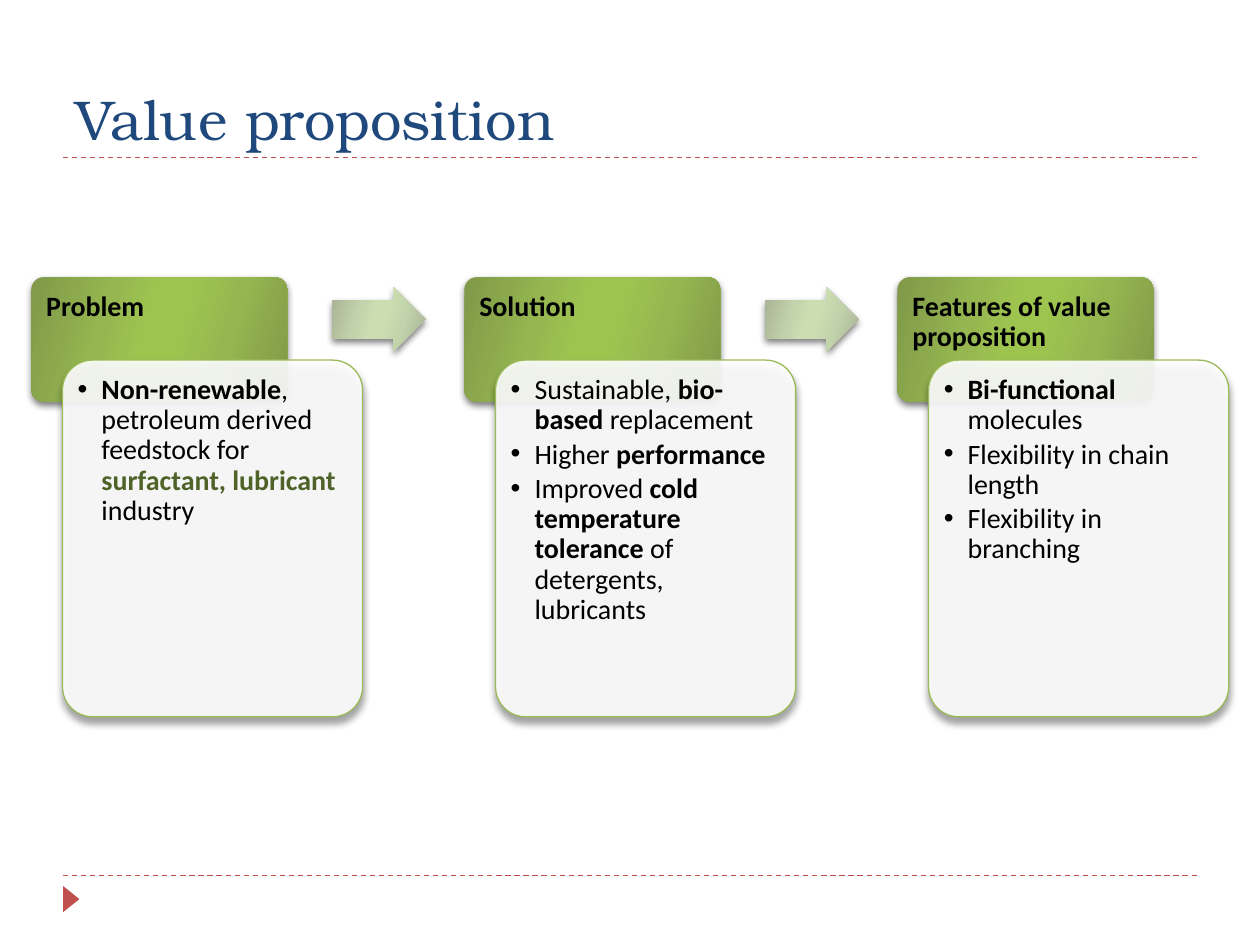
from dataclasses import dataclass

from lxml import etree
from pptx import Presentation
from pptx import util as u
from pptx.dml.color import RGBColor
from pptx.enum import dml, shapes, text
from pptx.oxml.ns import qn


@dataclass(frozen=True)
class Theme:
    title_font: str = "TeX Gyre Bonum"
    body_font: str = "Calibri"
    title_size: int = 32
    body_size: int = 16
    title: str = "1F497D"
    ink: str = "000000"
    emphasis: str = "4F6228"
    accent: str = "C0504D"
    border: str = "9BBB59"
    card: str = "FFFFFF"
    heading_stops: tuple = ("7F9949", "96B750", "9EC450")
    arrow_stops: tuple = ("A6B294", "C2D2AB", "CCDDB1")


T = Theme()
BOLD = {"bold": True}
GREEN = {"bold": True, "color": T.emphasis}
COLUMNS = [
    ("Problem", [
        [("Non-renewable", BOLD), (", petroleum derived feedstock for ", {}),
         ("surfactant, lubricant ", GREEN), ("industry", {})],
    ]),
    ("Solution", [
        [("Sustainable, ", {}), ("bio-based ", BOLD), ("replacement", {})],
        [("Higher ", {}), ("performance", BOLD)],
        [("Improved ", {}), ("cold temperature tolerance", BOLD),
         (" of detergents, lubricants", {})],
    ]),
    ("Features of value proposition", [
        [("Bi-functional ", BOLD), ("molecules", {})],
        [("Flexibility in chain length", {})],
        [("Flexibility in branching", {})],
    ]),
]
LEFT, PITCH = 0.63, 8.73


def rgb(value):
    return RGBColor.from_string(value)


def add_bullet(p, indent):
    pPr = p._p.get_or_add_pPr()
    pPr.set("marL", str(u.Cm(indent)))
    pPr.set("indent", str(-u.Cm(indent)))
    etree.SubElement(pPr, qn("a:buFont"), typeface="Arial")
    etree.SubElement(pPr, qn("a:buChar"), char="•")


def write_text(s, paragraphs, font=T.body_font, size=T.body_size, color=T.ink,
               anchor=text.MSO_ANCHOR.TOP, insets=(0.25, 0.13, 0.25, 0.13),
               line_spacing=None, space_after=0, bullet_indent=None):
    tf = s.text_frame
    tf.word_wrap = True
    tf.vertical_anchor = anchor
    (tf.margin_left, tf.margin_top,
     tf.margin_right, tf.margin_bottom) = map(u.Cm, insets)
    for i, runs in enumerate(paragraphs):
        p = tf.add_paragraph() if i else tf.paragraphs[0]
        p.alignment = text.PP_ALIGN.LEFT
        p.line_spacing = line_spacing
        p.space_after = u.Pt(space_after)
        if bullet_indent:
            add_bullet(p, bullet_indent)
        for content, style in runs:
            r = p.add_run()
            r.text = content
            r.font.name = font
            r.font.size = u.Pt(size)
            r.font.bold = style.get("bold", False)
            r.font.color.rgb = rgb(style.get("color", color))


def add_box(slide, kind, box, adjustments=()):
    s = slide.shapes.add_shape(kind, *map(u.Cm, box))
    for i, value in enumerate(adjustments):
        s.adjustments[i] = value
    s.shadow.inherit = False
    s.line.fill.background()
    return s


def set_alpha(color, percent):
    etree.SubElement(color, qn("a:alpha"), val=str(percent * 1000))


def add_shadow(s, percent, distance):
    effects = s._element.spPr.find(qn("a:effectLst"))
    shadow = etree.SubElement(
        effects, qn("a:outerShdw"), blurRad=str(u.Pt(4)),
        dist=str(u.Pt(distance)), dir="5400000", rotWithShape="0")
    set_alpha(etree.SubElement(shadow, qn("a:srgbClr"), val=T.ink), percent)


def fill_gradient(s, colors):
    s.fill.gradient()
    s.fill.gradient_angle = 344
    stops = s._element.spPr.find(qn("a:gradFill")).find(qn("a:gsLst"))
    for stop in list(stops):
        stops.remove(stop)
    for position, color in zip((0, 30, 45, 55, 73, 100), colors + colors[::-1]):
        stop = etree.SubElement(stops, qn("a:gs"), pos=str(position * 1000))
        etree.SubElement(stop, qn("a:srgbClr"), val=color)


def add_rule(slide, y):
    c = slide.shapes.add_connector(
        shapes.MSO_CONNECTOR.STRAIGHT, u.Cm(1.27), u.Cm(y), u.Cm(24.13), u.Cm(y))
    c.line.color.rgb = rgb(T.accent)
    c.line.width = u.Pt(0.75)
    c.line.dash_style = dml.MSO_LINE.DASH
    etree.SubElement(c._element.spPr, qn("a:effectLst"))


def add_title(slide, content):
    s = slide.shapes.add_textbox(*map(u.Cm, (1.27, 0.43, 22.86, 2.75)))
    write_text(s, [[(content, {})]], font=T.title_font, size=T.title_size,
               color=T.title, anchor=text.MSO_ANCHOR.BOTTOM)


def add_marker(slide):
    s = add_box(slide, shapes.MSO_SHAPE.ISOSCELES_TRIANGLE, (1.17, 17.96, 0.53, 0.33))
    s.rotation = 90
    s.fill.solid()
    s.fill.fore_color.rgb = rgb(T.accent)


def add_heading(slide, x, content):
    s = add_box(slide, shapes.MSO_SHAPE.ROUNDED_RECTANGLE, (x, 5.59, 5.16, 2.51), [0.1])
    fill_gradient(s, T.heading_stops)
    add_shadow(s, 50, 2)
    write_text(s, [[(content, BOLD)]], insets=(0.23, 0.23, 0.23, 0.1),
               line_spacing=0.9)


def add_card(slide, x, paragraphs):
    s = add_box(slide, shapes.MSO_SHAPE.ROUNDED_RECTANGLE, (x, 7.26, 6.05, 7.19), [0.1])
    s.fill.solid()
    s.fill.fore_color.rgb = rgb(T.card)
    set_alpha(s._element.spPr.find(qn("a:solidFill"))[0], 90)
    s.line.color.rgb = rgb(T.border)
    s.line.width = u.Pt(0.75)
    add_shadow(s, 40, 3.4)
    write_text(s, paragraphs, insets=(0.13,) * 4, line_spacing=0.9,
               space_after=2.4, bullet_indent=0.48)


def add_arrow(slide, x):
    s = add_box(slide, shapes.MSO_SHAPE.RIGHT_ARROW, (x, 5.79, 1.88, 1.3), [0.6, 0.5])
    fill_gradient(s, T.arrow_stops)
    add_shadow(s, 50, 2)


def main():
    prs = Presentation()
    prs.slide_width, prs.slide_height = u.Cm(25.4), u.Cm(19.05)
    slide = prs.slides.add_slide(prs.slide_layouts[6])
    for y in (17.65, 3.18):
        add_rule(slide, y)
    add_marker(slide)
    add_title(slide, "Value proposition")
    for i, (heading, paragraphs) in enumerate(COLUMNS):
        x = LEFT + i * PITCH
        add_heading(slide, x, heading)
        add_card(slide, x + 0.63, paragraphs)
        if i < len(COLUMNS) - 1:
            add_arrow(slide, x + 6.07)
    prs.save("out.pptx")


if __name__ == "__main__":
    main()
